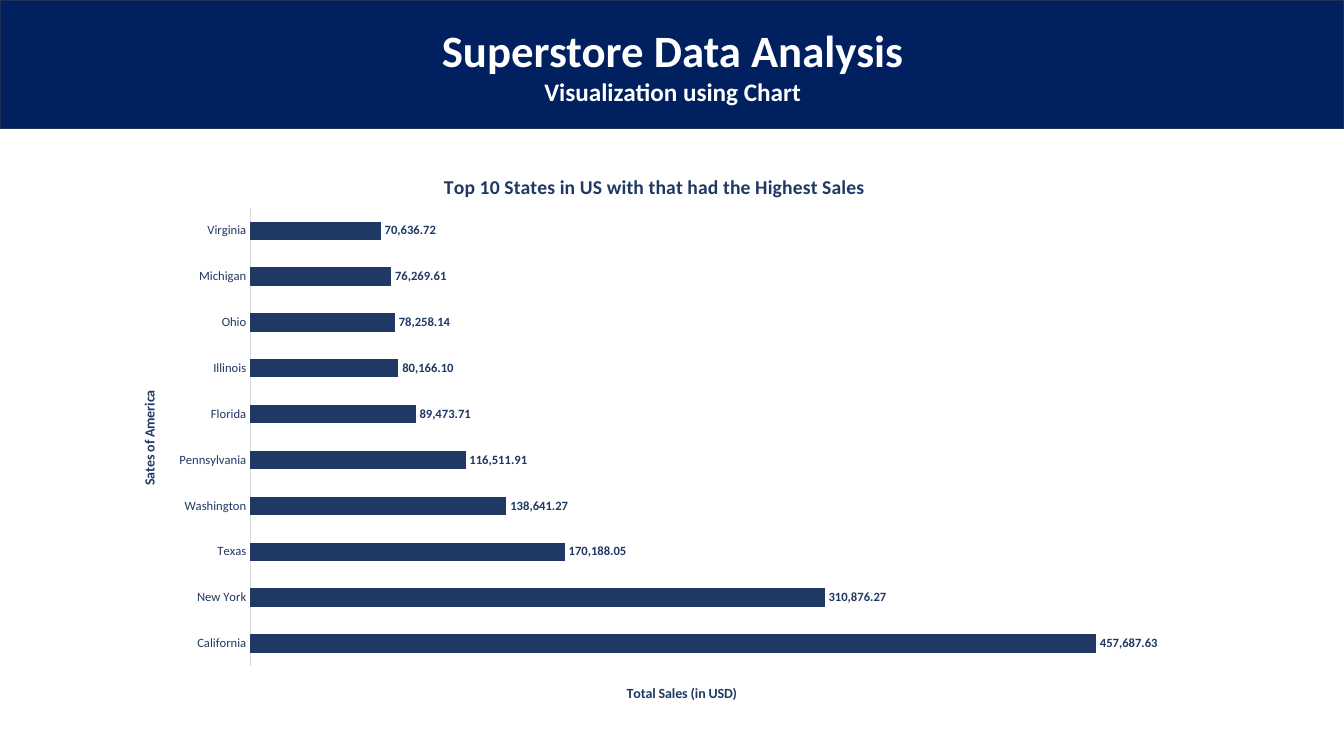
"""Builds the sales slide: a title band above a bar chart of the ten leading states."""
from dataclasses import dataclass
from typing import NamedTuple, Optional

from lxml.etree import SubElement
from pptx import Presentation
from pptx.chart.data import CategoryChartData
from pptx.dml.color import RGBColor
from pptx.enum.chart import XL_CHART_TYPE, XL_LABEL_POSITION, XL_TICK_LABEL_POSITION, XL_TICK_MARK
from pptx.enum.shapes import MSO_SHAPE
from pptx.enum.text import MSO_ANCHOR, MSO_AUTO_SIZE, PP_ALIGN
from pptx.oxml import parse_xml
from pptx.oxml.ns import nsdecls, qn
from pptx.util import Pt


@dataclass(frozen=True)
class Theme:
    font: str = "Calibri"
    band: str = "002060"
    band_line: str = "1E3256"
    heading: str = "FFFFFF"
    ink: str = "203864"
    axis: str = "D9D9D9"
    title_size: float = 32
    subtitle_size: float = 18
    chart_title_size: float = 14
    axis_title_size: float = 10
    label_size: float = 9


class State(NamedTuple):
    name: str
    sales: float


@dataclass(frozen=True)
class ChartTitle:
    text: str
    size: float
    x: float
    y: float
    rotation: Optional[int] = None


THEME = Theme()
NUMBER_FORMAT = "#,##0.00"
STATES = [
    State("California", 457687.63),
    State("New York", 310876.27),
    State("Texas", 170188.05),
    State("Washington", 138641.27),
    State("Pennsylvania", 116511.91),
    State("Florida", 89473.71),
    State("Illinois", 80166.10),
    State("Ohio", 78258.14),
    State("Michigan", 76269.61),
    State("Virginia", 70636.72),
]
MAIN_TITLE = ChartTitle("Top 10 States in US with that had the Highest Sales",
                        THEME.chart_title_size, 0.3, 0.04)
STATE_TITLE = ChartTitle("Sates of America", THEME.axis_title_size, 0.02, 0.42, -90)
SALES_TITLE = ChartTitle("Total Sales (in USD)", THEME.axis_title_size, 0.47, 0.93)


def rgb(color: str) -> RGBColor:
    return RGBColor.from_string(color)


def style_font(font, *, size: float, color: str, bold: bool = False) -> None:
    font.name = THEME.font
    font.size = Pt(size)
    font.bold = bold
    font.color.rgb = rgb(color)


def add_text(p, text: str, *, size: float, color: str, bold: bool = True,
             align: PP_ALIGN = PP_ALIGN.CENTER) -> None:
    p.alignment = align
    r = p.add_run()
    r.text = text
    style_font(r.font, size=size, color=color, bold=bold)


def set_layout(element, index: int, **values) -> None:
    for old in element.findall(qn("c:layout")):
        element.remove(old)
    layout = parse_xml(f"<c:layout {nsdecls('c')}/>")
    manual = SubElement(layout, qn("c:manualLayout"))
    for name, value in values.items():
        SubElement(manual, qn(f"c:{name}")).set("val", str(value))
    element.insert(index, layout)


def add_chart_title(title, spec_title: ChartTitle) -> None:
    tf = title.text_frame
    add_text(tf.paragraphs[0], spec_title.text, size=spec_title.size, color=THEME.ink)
    if spec_title.rotation is not None:
        body = tf._txBody.bodyPr
        body.set("rot", str(spec_title.rotation * 60000))
        body.set("vert", "horz")
    set_layout(title._element, 1, xMode="edge", yMode="edge", x=spec_title.x, y=spec_title.y)


def add_header(slide, width: int) -> None:
    band = slide.shapes.add_shape(MSO_SHAPE.RECTANGLE, 0, 0, width, Pt(92))
    band.shadow.inherit = False
    band.fill.solid()
    band.fill.fore_color.rgb = rgb(THEME.band)
    band.line.color.rgb = rgb(THEME.band_line)
    band.line.width = Pt(1)

    sp = slide.shapes.title
    sp._element.addprevious(band._element)
    sp.left, sp.top, sp.width, sp.height = Pt(240), Pt(12), Pt(481), Pt(68)
    tf = sp.text_frame
    tf.word_wrap = True
    tf.auto_size = MSO_AUTO_SIZE.NONE
    tf.vertical_anchor = MSO_ANCHOR.MIDDLE
    add_text(tf.paragraphs[0], "Superstore Data Analysis",
             size=THEME.title_size, color=THEME.heading)
    add_text(tf.add_paragraph(), "Visualization using Chart",
             size=THEME.subtitle_size, color=THEME.heading)


def add_sales_chart(slide) -> None:
    data = CategoryChartData(number_format=NUMBER_FORMAT)
    data.categories = [state.name for state in STATES]
    data.add_series("Total Sales", [state.sales for state in STATES])
    chart = slide.shapes.add_chart(XL_CHART_TYPE.BAR_CLUSTERED, Pt(83), Pt(104.5),
                                   Pt(772), Pt(411), data).chart
    style_font(chart.font, size=THEME.label_size, color=THEME.ink)
    chart.has_legend = False
    chart.has_title = True
    add_chart_title(chart.chart_title, MAIN_TITLE)
    set_layout(chart._chartSpace.chart.plotArea, 0, layoutTarget="inner",
               xMode="edge", yMode="edge", x=0.124, y=0.107, w=0.855, h=0.797)

    states = chart.category_axis
    states.major_tick_mark = states.minor_tick_mark = XL_TICK_MARK.NONE
    states.tick_label_position = XL_TICK_LABEL_POSITION.NEXT_TO_AXIS
    states.format.line.color.rgb = rgb(THEME.axis)
    states.format.line.width = Pt(0.75)
    style_font(states.tick_labels.font, size=THEME.label_size, color=THEME.ink)
    add_chart_title(states.axis_title, STATE_TITLE)

    sales = chart.value_axis
    sales.minimum_scale, sales.maximum_scale = 0, 500000
    sales.has_major_gridlines = False
    sales.tick_labels.number_format = NUMBER_FORMAT
    sales.visible = False
    add_chart_title(sales.axis_title, SALES_TITLE)

    plot = chart.plots[0]
    plot.vary_by_categories = False
    plot.gap_width = 150
    fill = plot.series[0].format.fill
    fill.solid()
    fill.fore_color.rgb = rgb(THEME.ink)
    plot.has_data_labels = True
    labels = plot.data_labels
    labels.show_value = True
    labels.position = XL_LABEL_POSITION.OUTSIDE_END
    labels.number_format = NUMBER_FORMAT
    labels.number_format_is_linked = False
    style_font(labels.font, size=THEME.label_size, color=THEME.ink, bold=True)


def main() -> None:
    prs = Presentation()
    prs.slide_width, prs.slide_height = Pt(960), Pt(540)
    slide = prs.slides.add_slide(prs.slide_layouts[5])
    add_header(slide, prs.slide_width)
    add_sales_chart(slide)
    prs.save("out.pptx")


if __name__ == "__main__":
    main()
